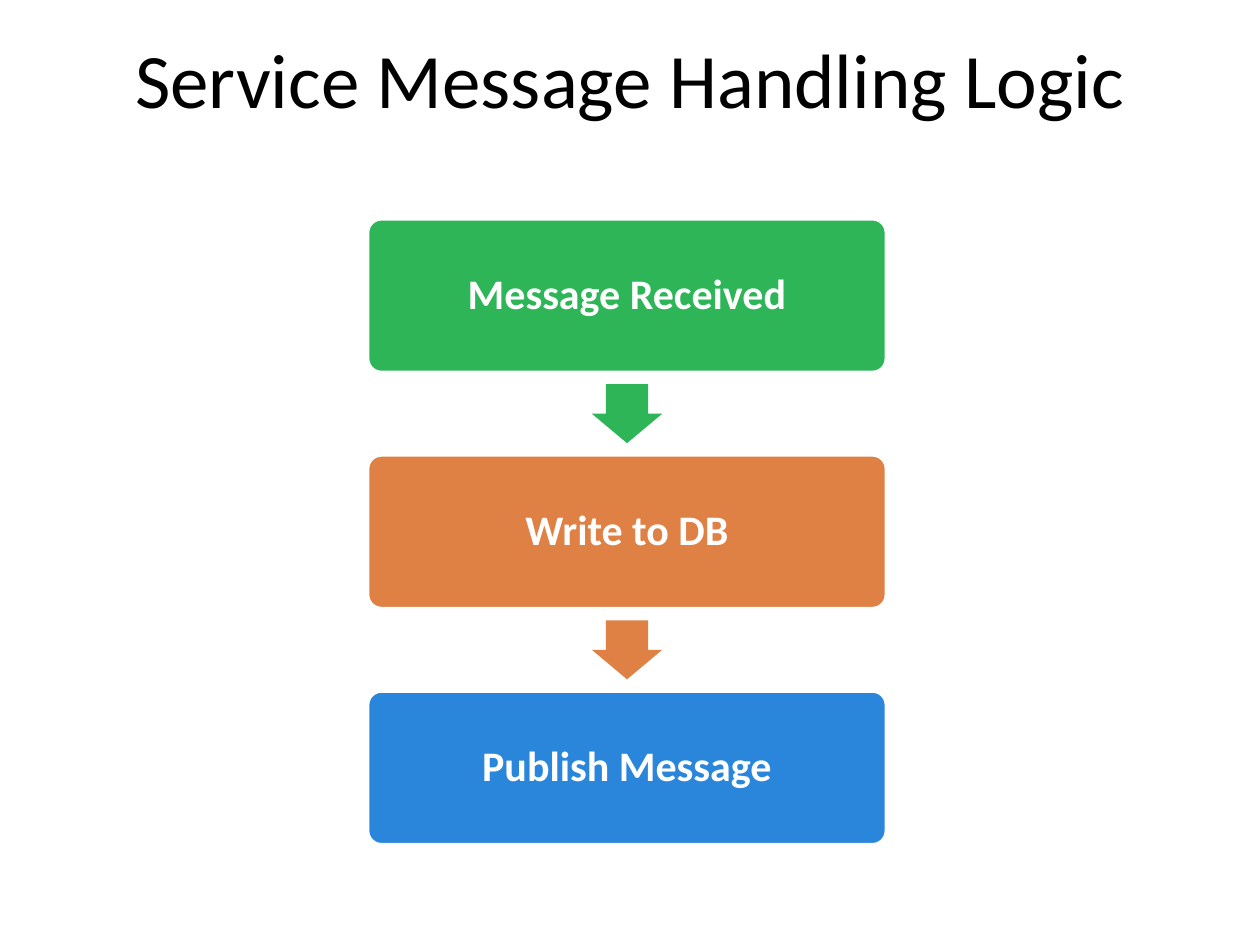
from pptx import Presentation
from pptx.dml.color import RGBColor
from pptx.enum.shapes import MSO_SHAPE
from pptx.enum.text import MSO_ANCHOR, PP_ALIGN
from pptx.util import Cm, Pt

BLACK = RGBColor(0x00, 0x00, 0x00)
WHITE = RGBColor(0xFF, 0xFF, 0xFF)
GREEN = RGBColor(0x2D, 0xB5, 0x57)
ORANGE = RGBColor(0xDF, 0x80, 0x45)
BLUE = RGBColor(0x2A, 0x86, 0xDA)

# Layout in centimetres
STEP_LEFT, STEP_TOP = 7.37, 4.37
STEP_WIDTH, STEP_HEIGHT = 10.54, 3.18
STEP_PITCH = 4.76
ARROW_LENGTH, ARROW_BREADTH = 1.19, 1.42

STEPS = [
    ("Message Received", GREEN),
    ("Write to DB", ORANGE),
    ("Publish Message", BLUE),
]


class FlowSlide:
    """Holds the text styles and the slide being drawn."""

    title_font = {"name": "Calibri", "size": Pt(44), "bold": False}
    step_font = {"name": "Calibri", "size": Pt(24), "bold": True}
    step_frame = dict.fromkeys(
        ("margin_left", "margin_top", "margin_right", "margin_bottom"), Cm(0.25))

    def __init__(self, slide):
        self.slide = slide

    @staticmethod
    def apply(target, values):
        for attribute, value in values.items():
            setattr(target, attribute, value)

    def label(self, shape, text, font, color):
        frame = shape.text_frame
        self.apply(frame, {"word_wrap": True, "vertical_anchor": MSO_ANCHOR.MIDDLE})
        paragraph = frame.paragraphs[0]
        paragraph.alignment = PP_ALIGN.CENTER
        run = paragraph.add_run()
        run.text = text
        self.apply(run.font, font)
        run.font.color.rgb = color
        return paragraph

    def title(self, text, left, top, width, height):
        heading = self.slide.shapes.add_textbox(Cm(left), Cm(top), Cm(width), Cm(height))
        self.label(heading, text, self.title_font, BLACK)

    def block(self, kind, left, top, width, height, color, adjustments):
        block = self.slide.shapes.add_shape(kind, Cm(left), Cm(top), Cm(width), Cm(height))
        block.shadow.inherit = False
        block.fill.solid()
        block.fill.fore_color.rgb = color
        for index, value in enumerate(adjustments):
            block.adjustments[index] = value
        return block

    def step(self, text, top, color):
        step = self.block(MSO_SHAPE.ROUNDED_RECTANGLE, STEP_LEFT, top,
                          STEP_WIDTH, STEP_HEIGHT, color, [0.1])
        step.line.color.rgb = WHITE
        step.line.width = Pt(4.33)
        self.apply(step.text_frame, self.step_frame)
        self.label(step, text, self.step_font, WHITE).line_spacing = 0.9

    def arrow(self, center_x, center_y, color):
        arrow = self.block(MSO_SHAPE.RIGHT_ARROW, center_x - ARROW_LENGTH / 2,
                           center_y - ARROW_BREADTH / 2, ARROW_LENGTH,
                           ARROW_BREADTH, color, [0.6, 0.5])
        arrow.rotation = 90
        arrow.line.fill.background()


def main():
    deck = Presentation()
    deck.slide_width, deck.slide_height = Cm(25.4), Cm(19.05)
    flow = FlowSlide(deck.slides.add_slide(deck.slide_layouts[6]))

    # Heading
    flow.title("Service Message Handling Logic", 1.07, 0.64, 23.27, 1.85)

    # Steps, each followed by an arrow in its own colour except the last
    for index, (text, color) in enumerate(STEPS):
        top = STEP_TOP + index * STEP_PITCH
        flow.step(text, top, color)
        if index < len(STEPS) - 1:
            flow.arrow(STEP_LEFT + STEP_WIDTH / 2,
                       top + (STEP_HEIGHT + STEP_PITCH) / 2, color)

    deck.save("out.pptx")


if __name__ == "__main__":
    main()
